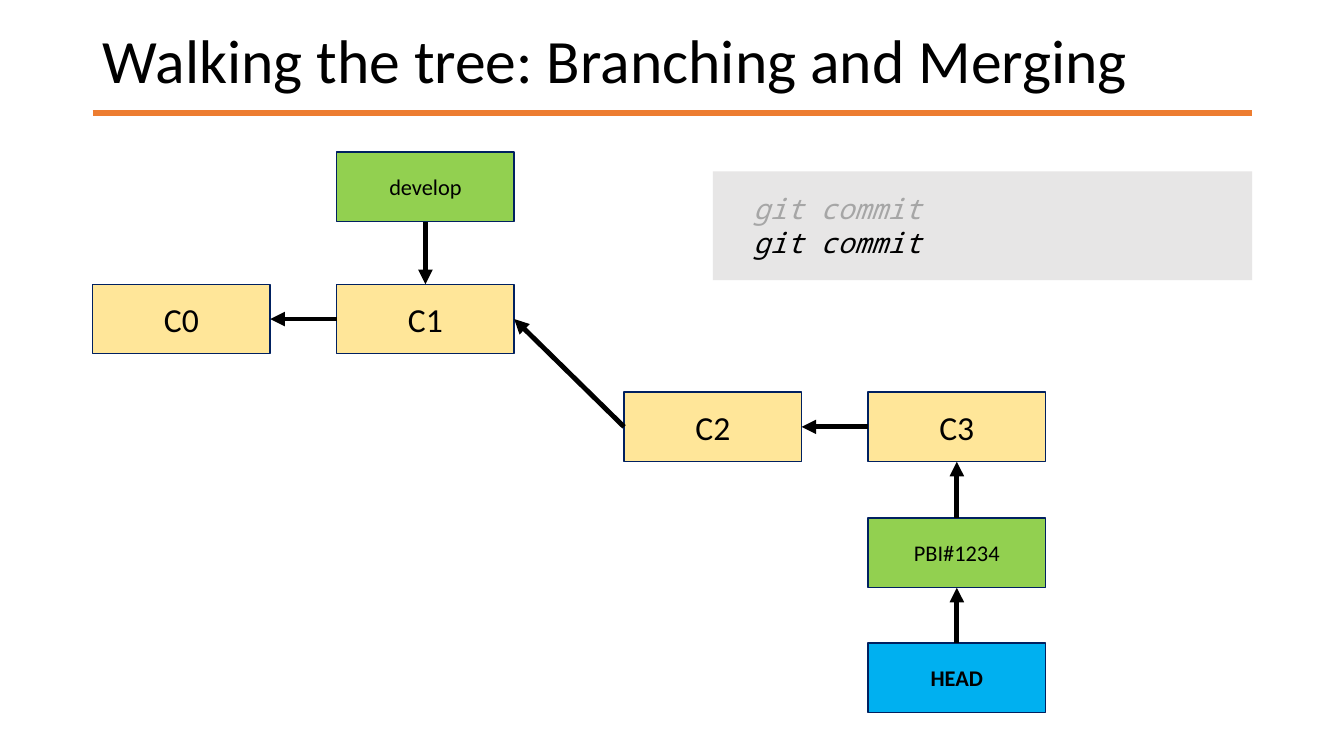
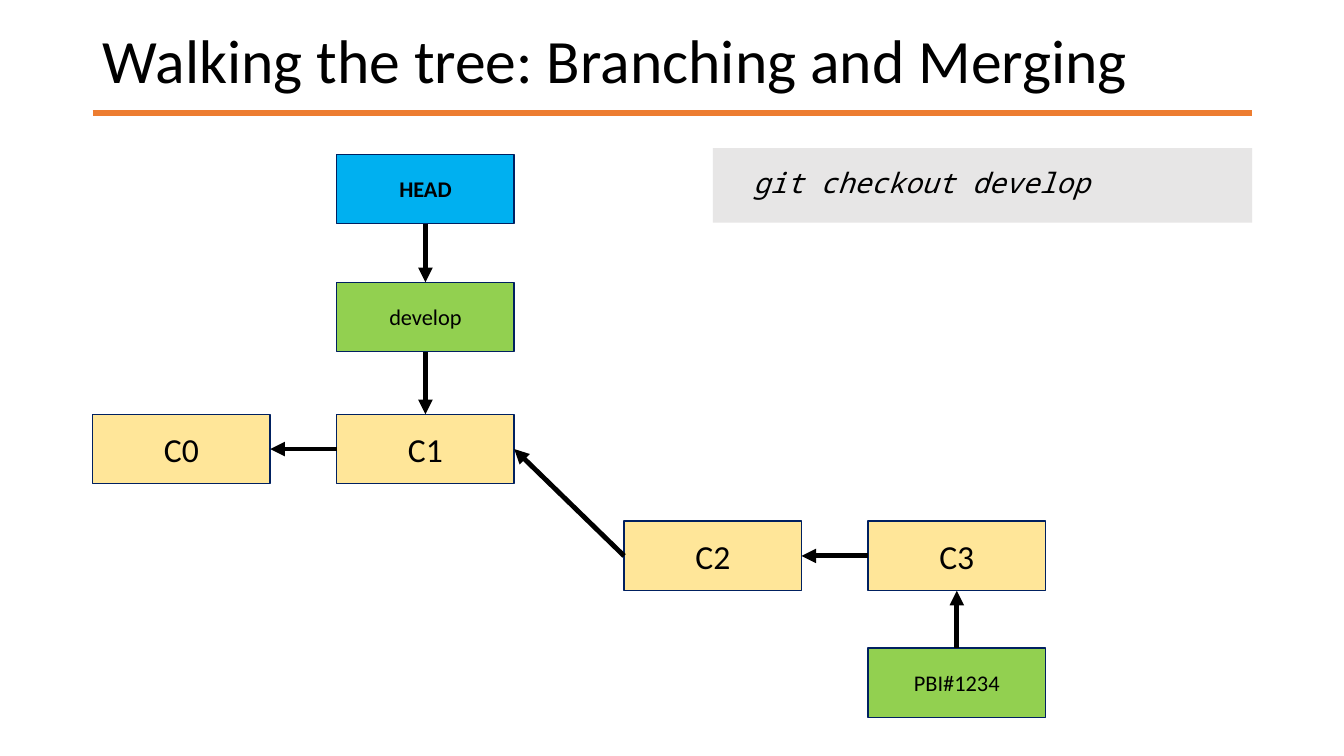
from lxml import etree
from pptx import Presentation
from pptx.dml.color import RGBColor
from pptx.enum.shapes import MSO_CONNECTOR, MSO_SHAPE
from pptx.enum.text import MSO_ANCHOR, MSO_AUTO_SIZE, PP_ALIGN
from pptx.oxml.ns import qn
from pptx.util import Inches, Pt

TITLE = "Walking the tree: Branching and Merging"
FONT, MONO = "Calibri", "Noto Sans Mono"
BLACK, GREY, PANEL, NAVY, ORANGE = "000000", "A6A6A6", "E7E6E6", "002060", "ED7D31"

# kind: fill, text size, bold
KINDS = {
    "commit": ("FFE699", 24, False),
    "branch": ("92D050", 16, False),
    "head": ("00B0F0", 16, True),
}
NODES = {"C0": "commit", "C1": "commit", "C2": "commit", "C3": "commit",
         "develop": "branch", "PBI#1234": "branch", "HEAD": "head"}

LEFT, WIDTH = 0.92, 11.5
NODE_W, NODE_H = 1.76, 0.69
COLUMNS = (0.92, 3.34, 6.19, 8.61)
TOP, LEFT_SIDE, BOTTOM, RIGHT_SIDE = range(4)  # connection sites of a rectangle

HISTORY = [("C1", "C0"), ("C2", "C1"), ("C3", "C2"),
           ("develop", "C1"), ("PBI#1234", "C3")]

# nodes: name -> (column, top); commands: (text, colour)
SLIDES = [
    {
        "nodes": {"C0": (0, 2.82), "C1": (1, 2.82), "C2": (2, 3.89), "C3": (3, 3.89),
                  "develop": (1, 1.51), "PBI#1234": (3, 5.14), "HEAD": (3, 6.38)},
        "head_at": "PBI#1234",
        "commands": [("git commit", GREY), ("git commit", BLACK)],
        "panel": (1.7, 1.08),
    },
    {
        "nodes": {"C0": (0, 4.11), "C1": (1, 4.11), "C2": (2, 5.17), "C3": (3, 5.17),
                  "develop": (1, 2.8), "PBI#1234": (3, 6.43), "HEAD": (1, 1.53)},
        "head_at": "develop",
        "commands": [("git checkout develop", BLACK)],
        "panel": (1.47, 0.74),
    },
]


def rgb(value):
    """Turn a hex string into a colour."""
    return RGBColor.from_string(value)


def style(p, name, size, color, bold=False, italic=False):
    """Set the font of a whole paragraph."""
    font = p.font
    font.name, font.size, font.bold, font.italic = name, Pt(size), bold, italic
    font.color.rgb = rgb(color)


def add_box(s, left, top, width, height, fill, line=None):
    """Add a flat rectangle with an optional thin outline."""
    sp = s.shapes.add_shape(MSO_SHAPE.RECTANGLE, Inches(left), Inches(top),
                            Inches(width), Inches(height))
    sp.shadow.inherit = False
    sp.fill.solid()
    sp.fill.fore_color.rgb = rgb(fill)
    if line:
        sp.line.color.rgb = rgb(line)
        sp.line.width = Pt(1)
    else:
        sp.line.fill.background()
    return sp


def add_line(s, x1, y1, x2, y2, color, width):
    """Add a straight line without a shadow."""
    cxn = s.shapes.add_connector(MSO_CONNECTOR.STRAIGHT, Inches(x1), Inches(y1),
                                 Inches(x2), Inches(y2))
    cxn.line.color.rgb = rgb(color)
    cxn.line.width = Pt(width)
    etree.SubElement(cxn._element.spPr, qn("a:effectLst"))
    return cxn


def add_arrow(s, start, end):
    """Join two nodes: sideways across columns, upright within one."""
    if start.left != end.left:
        sites = LEFT_SIDE, RIGHT_SIDE
    elif start.top < end.top:
        sites = BOTTOM, TOP
    else:
        sites = TOP, BOTTOM
    cxn = add_line(s, 0, 0, 0, 0, BLACK, 3.5)
    cxn.begin_connect(start, sites[0])
    cxn.end_connect(end, sites[1])
    etree.SubElement(cxn.line._get_or_add_ln(), qn("a:tailEnd"), type="triangle")


def add_node(s, name, column, top):
    """Add a commit, branch or HEAD box."""
    fill, size, bold = KINDS[NODES[name]]
    sp = add_box(s, COLUMNS[column], top, NODE_W, NODE_H, fill, NAVY)
    tf = sp.text_frame
    tf.vertical_anchor = MSO_ANCHOR.MIDDLE
    p = tf.paragraphs[0]
    p.text, p.alignment = name, PP_ALIGN.CENTER
    style(p, FONT, size, BLACK, bold)
    return sp


def add_commands(s, commands, top, height):
    """Add the grey panel of shell commands."""
    tf = add_box(s, 7.07, top, 5.35, height, PANEL).text_frame
    tf.word_wrap, tf.auto_size = True, MSO_AUTO_SIZE.SHAPE_TO_FIT_TEXT
    tf.vertical_anchor = MSO_ANCHOR.TOP
    tf.margin_left = tf.margin_right = Inches(0.4)
    tf.margin_top = tf.margin_bottom = Inches(0.2)
    for i, (text, color) in enumerate(commands):
        p = tf.add_paragraph() if i else tf.paragraphs[0]
        p.text, p.alignment = text, PP_ALIGN.LEFT
        style(p, MONO, 20, color, italic=True)


def add_title(s):
    """Fill the title and underline it."""
    title = s.shapes.title
    title.left, title.top = Inches(LEFT), Inches(0.14)
    title.width, title.height = Inches(WIDTH), Inches(0.98)
    tf = title.text_frame
    tf.vertical_anchor = MSO_ANCHOR.MIDDLE
    p = tf.paragraphs[0]
    p.text, p.alignment, p.line_spacing = TITLE, PP_ALIGN.LEFT, 0.9
    style(p, FONT, 44, BLACK)
    add_line(s, LEFT, 1.12, LEFT + WIDTH, 1.12, ORANGE, 4)


def build_slide(prs, content):
    """Build one step of the walk."""
    s = prs.slides.add_slide(prs.slide_layouts[5])
    add_title(s)
    add_commands(s, content["commands"], *content["panel"])
    boxes = {name: add_node(s, name, *place) for name, place in content["nodes"].items()}
    for start, end in HISTORY + [("HEAD", content["head_at"])]:
        add_arrow(s, boxes[start], boxes[end])


prs = Presentation()
prs.slide_width, prs.slide_height = Inches(13.33), Inches(7.5)
for content in SLIDES:
    build_slide(prs, content)
prs.save("out.pptx")
